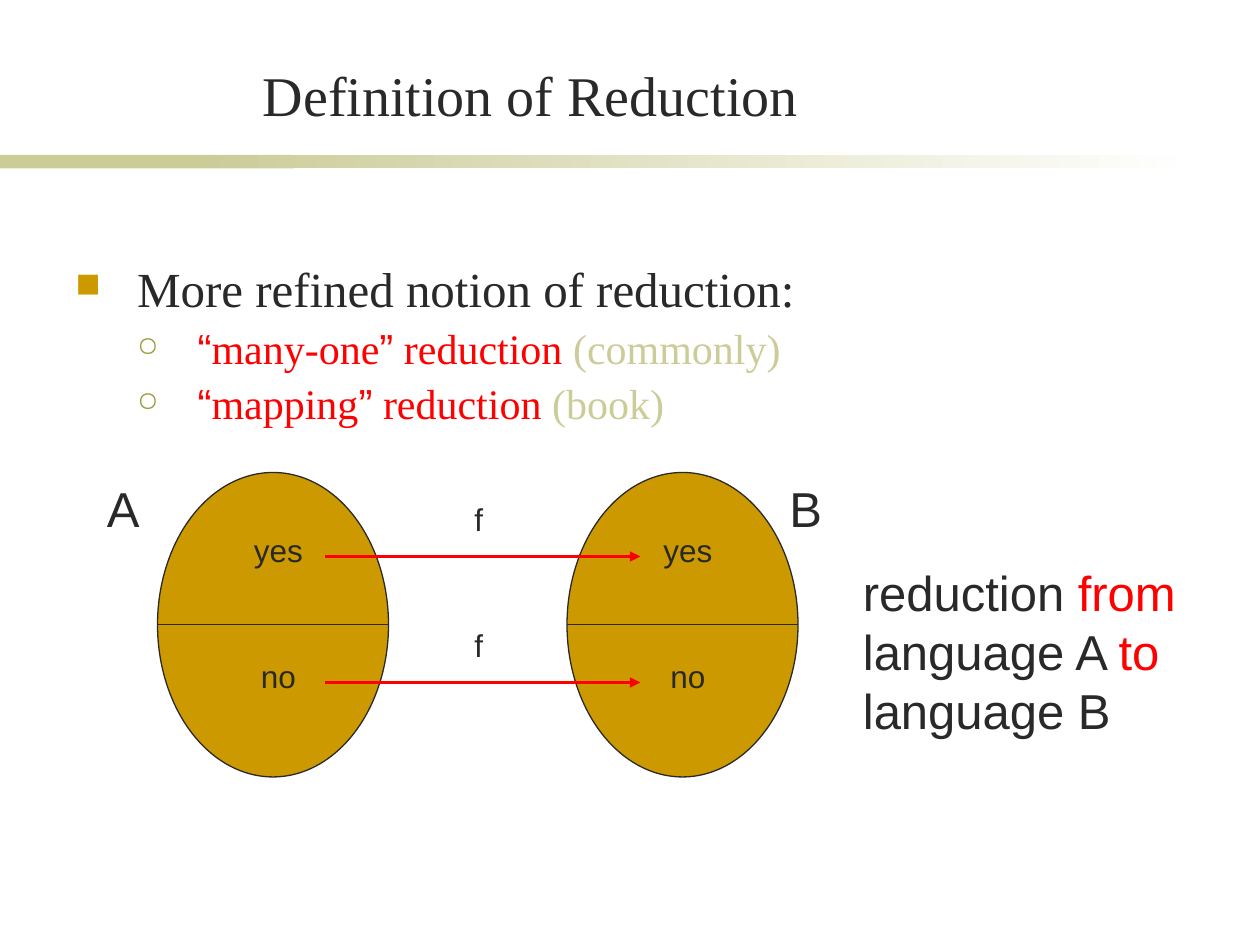
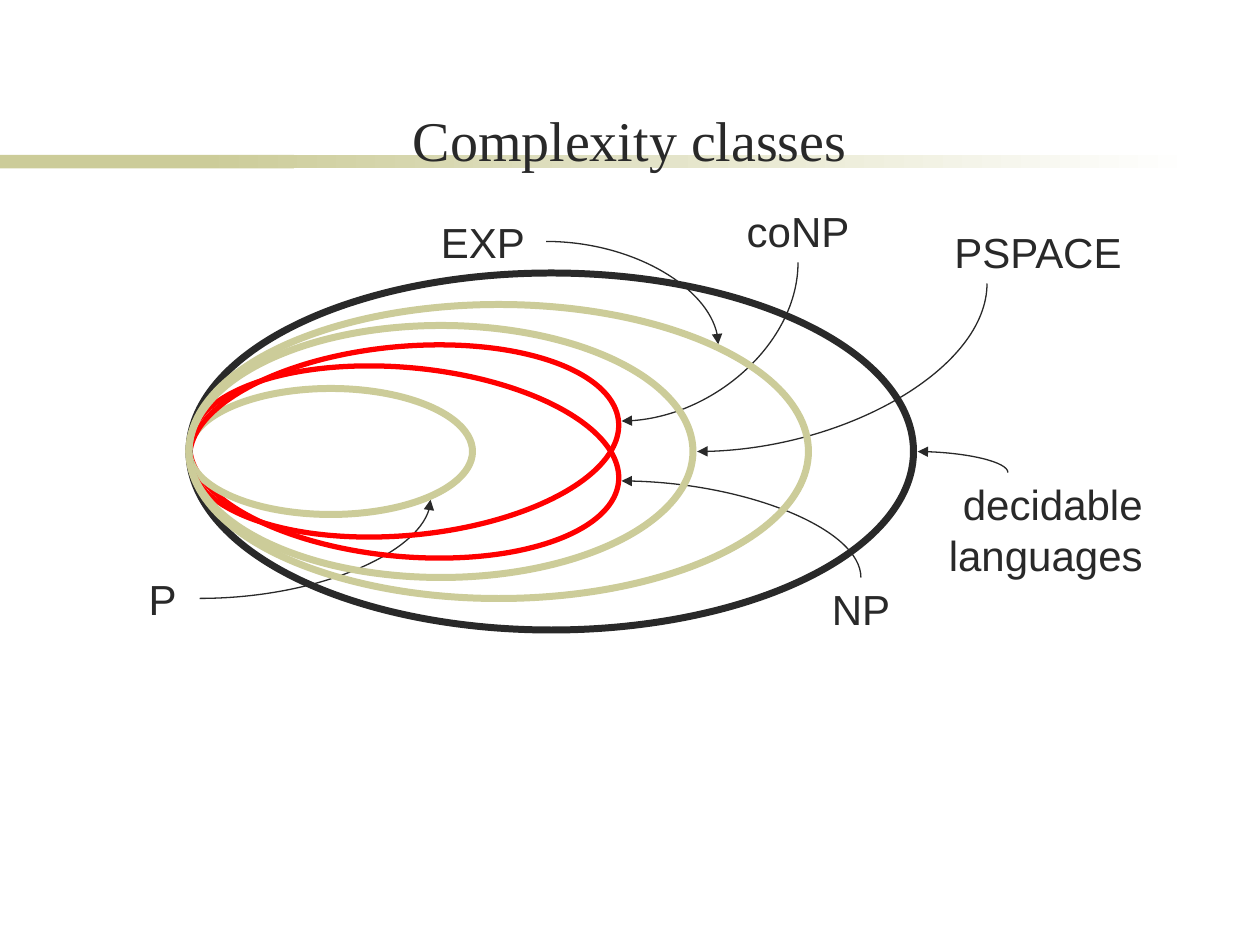
from lxml import etree
from pptx import Presentation
from pptx import util as u
from pptx.dml.color import RGBColor
from pptx.enum import shapes, text
from pptx.oxml import ns

COLOURS = {"ink": "292929", "red": "FF0000", "gold": "CC9900",
           "khaki": "CCCC99", "olive": "999933", "white": "FFFFFF"}
SERIF, SANS = "Times New Roman", "Arial"
CENTER, LEFT, RIGHT = text.PP_ALIGN.CENTER, text.PP_ALIGN.LEFT, text.PP_ALIGN.RIGHT
COLUMNS, ROWS = 120, 90  # twelve cells to the inch
BULLETS = [("■", "gold", 70, 0.49, 0.49, 28), ("○", "olive", 65, 0.97, 0.48, 24)]


def rgb(name):
    return RGBColor.from_string(COLOURS[name])


def add_xml(parent, tag, **attributes):
    return etree.SubElement(parent, ns.qn(tag), attributes)


class Deck:
    """Holds the style and the current slide; positions are grid columns and rows."""

    def __init__(self):
        self.prs = Presentation()
        self.prs.slide_width, self.prs.slide_height = u.Inches(10), u.Inches(7.5)
        self.slide = None

    def x(self, columns):
        return round(self.prs.slide_width * columns / COLUMNS)

    def y(self, rows):
        return round(self.prs.slide_height * rows / ROWS)

    def frame(self, left, top, width, height):
        return self.x(left), self.y(top), self.x(width), self.y(height)

    def new_slide(self, title, title_box):
        self.slide = self.prs.slides.add_slide(self.prs.slide_layouts[6])
        self.shape(shapes.MSO_SHAPE.RECTANGLE, (0, 14.75, 28, 1.3), fill="khaki")
        fade = self.shape(shapes.MSO_SHAPE.RECTANGLE, (19, 14.75, 95, 1.3)).fill
        fade.gradient()
        fade.gradient_angle = 0
        for stop, colour in zip(fade.gradient_stops, ("khaki", "white")):
            stop.color.rgb = rgb(colour)
        self.label(title, title_box, 32, CENTER, SERIF, text.MSO_ANCHOR.BOTTOM)

    def shape(self, kind, box, fill=None, line=None, weight=0.75, turn=0):
        shape = self.slide.shapes.add_shape(kind, *self.frame(*box))
        shape.shadow.inherit = False
        shape.rotation = turn
        if fill:
            shape.fill.solid()
            shape.fill.fore_color.rgb = rgb(fill)
        else:
            shape.fill.background()
        if line:
            shape.line.color.rgb = rgb(line)
            shape.line.width = u.Pt(weight)
        else:
            shape.line.fill.background()
        return shape

    def ellipse(self, box, **style):
        return self.shape(shapes.MSO_SHAPE.OVAL, box, **style)

    def text_frame(self, box, anchor=text.MSO_ANCHOR.TOP):
        frame = self.slide.shapes.add_textbox(*self.frame(*box)).text_frame
        frame.word_wrap = True
        frame.vertical_anchor = anchor
        return frame

    def add_runs(self, paragraph, runs, size):
        """Runs are (words, colour, font) triples."""
        paragraph.font.size = u.Pt(size)
        fonts = {font for _, _, font in runs}
        if len(fonts) == 1:
            paragraph.font.name = fonts.pop()
        for words, colour, font in runs:
            run = paragraph.add_run()
            run.text = words
            run.font.color.rgb = rgb(colour)
            if not paragraph.font.name:
                run.font.name = font

    def label(self, words, box, size, align=LEFT, font=SANS, anchor=text.MSO_ANCHOR.TOP):
        """Words are a string, or a list of (words, colour) pairs."""
        pairs = [(words, "ink")] if isinstance(words, str) else words
        paragraph = self.text_frame(box, anchor).paragraphs[0]
        paragraph.alignment = align
        self.add_runs(paragraph, [(part, colour, font) for part, colour in pairs], size)

    def bullets(self, items, box):
        """Items are (level, runs) pairs."""
        frame = self.text_frame(box)
        for index, (level, runs) in enumerate(items):
            paragraph = frame.add_paragraph() if index else frame.paragraphs[0]
            mark, colour, percent, margin, hang, size = BULLETS[level]
            paragraph.level = level
            props = paragraph._p.get_or_add_pPr()
            props.set("marL", str(u.Inches(margin)))
            props.set("indent", str(-u.Inches(hang)))
            add_xml(add_xml(props, "a:buClr"), "a:srgbClr", val=COLOURS[colour])
            add_xml(props, "a:buSzPct", val=str(percent * 1000))
            add_xml(props, "a:buChar", char=mark)
            paragraph.line_spacing = 0.9
            if index:
                paragraph.space_before = u.Pt(5.5)
            self.add_runs(paragraph, runs, size)

    def line(self, start, end, colour="ink", weight=0.75, arrow=False,
             kind=shapes.MSO_CONNECTOR.STRAIGHT):
        line = self.slide.shapes.add_connector(
            kind, self.x(start[0]), self.y(start[1]), self.x(end[0]), self.y(end[1]))
        line.line.color.rgb = rgb(colour)
        line.line.width = u.Pt(weight)
        if arrow:
            add_xml(line.line._get_or_add_ln(), "a:tailEnd", type="triangle")
        add_xml(line._element.spPr, "a:effectLst")
        return line

    def curve(self, start, end, vertical_first=True):
        """Quarter-bend arrow; one leaving vertically is a horizontal one turned by 90°."""
        if vertical_first:
            mid_x, mid_y = (start[0] + end[0]) / 2, (start[1] + end[1]) / 2
            start, end = [(mid_x + py - mid_y, mid_y - px + mid_x) for px, py in (start, end)]
        props = self.line(start, end, arrow=True,
                          kind=shapes.MSO_CONNECTOR.CURVE)._element.spPr
        props.find(ns.qn("a:prstGeom")).set("prst", "curvedConnector2")
        if vertical_first:
            props.find(ns.qn("a:xfrm")).set("rot", str(90 * 60000))


def reduction_slide(deck):
    deck.new_slide("Definition of Reduction", (13.7, 5.3, 73.7, 7.5))

    def named_reduction(name, source):
        return 1, [("“", "red", SANS), (name, "red", SERIF), ("”", "red", SANS),
                   (" reduction", "red", SERIF), (f" ({source})", "khaki", SERIF)]

    deck.bullets([(0, [("More refined notion of reduction:", "ink", SERIF)]),
                  named_reduction("many-one", "commonly"),
                  named_reduction("mapping", "book")], (6, 24.7, 107.3, 20.3))

    answers = [("yes", 50), ("no", 62)]
    for left, language, name_left in ((15, "A", 9), (54, "B", 74)):
        deck.ellipse((left, 45, 22, 29), fill="gold", line="ink")
        deck.line((left, 59.5), (left + 22, 59.5))
        for answer, top in answers:
            deck.label(answer, (left + 7, top, 9, 6), 18, CENTER)
        deck.label(language, (name_left, 45, 7, 6.8), 28)
    for _, top in answers:
        deck.line((31, top + 3), (61, top + 3), "red", 2, arrow=True)
        deck.label("f", (44, top - 3, 7, 6), 18)
    deck.label([("reduction ", "ink"), ("from", "red"), (" language A ", "ink"),
                ("to", "red"), (" language B", "ink")], (81, 53, 33, 18), 28)


def classes_slide(deck):
    deck.new_slide("Complexity classes", (6, 2, 108, 15))
    for name, box, align in (
            ("PSPACE", (80, 21, 28, 6), RIGHT), ("NP", (68, 55, 28, 6), CENTER),
            ("P", (12, 54, 7, 6), CENTER), ("EXP", (40, 20, 12, 6), CENTER),
            ("coNP", (62, 19, 28, 6), CENTER),
            ("decidable languages", (82, 45, 28, 10.8), RIGHT)):
        deck.label(name, box, 24, align)

    deck.curve((94, 27), (66.4, 43))                             # PSPACE
    deck.curve((82, 55), (59.2, 45.8))                           # NP
    deck.curve((19, 57), (41, 47.6), vertical_first=False)       # P
    deck.curve((52, 23), (68.4, 32.8), vertical_first=False)     # EXP
    deck.curve((76, 25), (59.2, 40.1))                           # coNP
    deck.curve((96, 45), (87.4, 43))                             # decidable

    # All classes touch at the same left edge.
    for middle, width, height, colour, weight, turn in (
            (44, 41, 18, "red", 3, 5.2),       # NP
            (43, 27, 12, "khaki", 4, 0),       # P
            (42, 41, 18, "red", 3, -5.2),      # coNP
            (43, 69, 34, "ink", 4, 0),         # decidable
            (43, 59, 28, "khaki", 4, 0),       # EXP
            (43, 48, 24, "khaki", 4, 0)):      # PSPACE
        deck.ellipse((18, middle - height / 2, width, height),
                     line=colour, weight=weight, turn=turn)


def main():
    deck = Deck()
    reduction_slide(deck)
    classes_slide(deck)
    deck.prs.save("out.pptx")


if __name__ == "__main__":
    main()
